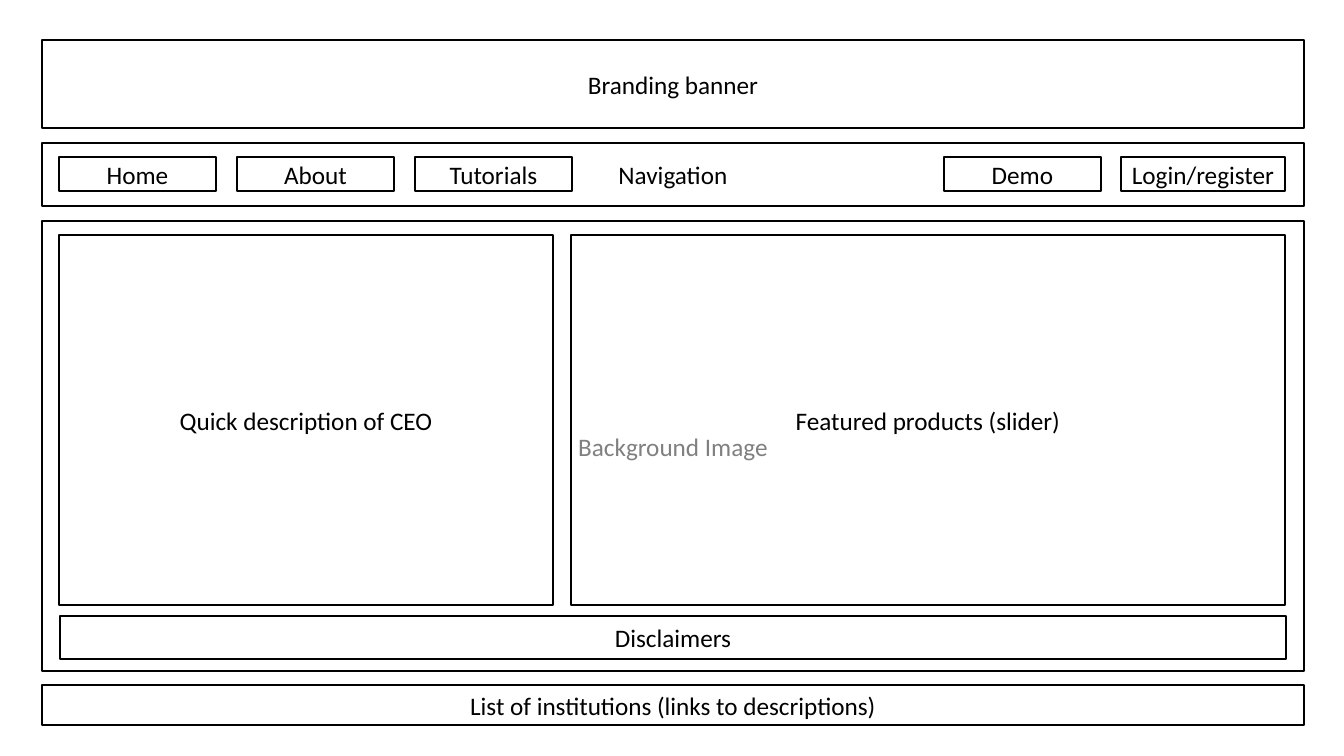
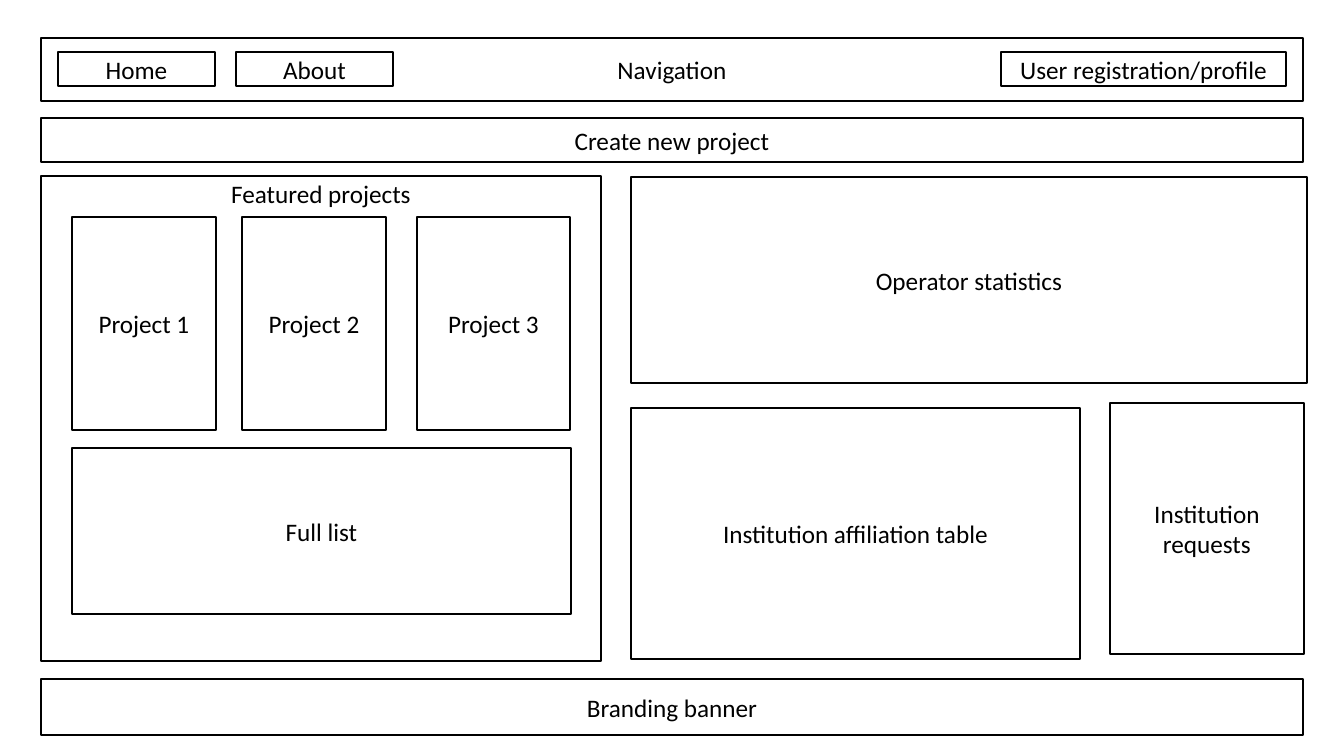
from pptx import Presentation
from pptx.dml.color import RGBColor
from pptx.enum.shapes import MSO_SHAPE
from pptx.enum.text import MSO_ANCHOR, PP_ALIGN
from pptx.util import Pt

SLIDE_WIDTH, SLIDE_HEIGHT = 12192000, 6858000
SCALE = SLIDE_WIDTH / 1344
FONT, TEXT_SIZE, LINE_WIDTH = "Calibri", 18, 1
BLACK, GREY = "000000", "808080"
BAND_WIDTH, NAV_HEIGHT = 1262, 63
BUTTON_WIDTH, BUTTON_HEIGHT, BUTTON_PITCH = 157, 34, 178
BUTTON_INSET_X, BUTTON_INSET_Y = 17, 14

# Bands: label, top, height. Buttons on the right: label, left, width.
# Panels: label, left, top, width, height.
PAGES = [
    {
        "left": 42,
        "bands": [("Branding banner", 40, 88),
                  ("List of institutions (links to descriptions)", 685, 40)],
        "nav_top": 143,
        "left_buttons": ["Home", "About", "Tutorials"],
        "right_buttons": [("Demo", 944, 157), ("Login/register", 1121, 164)],
        "backdrop": ("Background Image", 221, 450),
        "panels": [("Quick description of CEO", 59, 235, 494, 370),
                   ("Featured products (slider)", 571, 235, 714, 370),
                   ("Disclaimers", 60, 616, 1226, 43)],
    },
    {
        "left": 41,
        "bands": [("Create new project", 118, 44),
                  ("Branding banner", 679, 56)],
        "nav_top": 38,
        "left_buttons": ["Home", "About"],
        "right_buttons": [("User registration/profile", 1001, 285)],
        "group": ("Featured projects", 41, 176, 560, 485),
        "panels": [("Project 1", 72, 217, 144, 213),
                   ("Project 2", 242, 217, 144, 213),
                   ("Project 3", 417, 217, 153, 213),
                   ("Full list", 72, 448, 499, 166),
                   ("Operator statistics", 631, 177, 676, 206),
                   ("Institution affiliation table", 631, 408, 449, 251),
                   ("Institution requests", 1110, 403, 194, 251)],
    },
]


def px(pixels):
    """Turn pixels into EMU."""
    return round(pixels * SCALE)


def rgb(color):
    """Turn a hex string into a colour."""
    return RGBColor.from_string(color)


def add_box(slide, label, left, top, width, height, color=BLACK,
            anchor=MSO_ANCHOR.MIDDLE):
    """Draw an outlined, unfilled box with a centred label."""
    box = slide.shapes.add_shape(MSO_SHAPE.RECTANGLE, px(left), px(top),
                                 px(width), px(height))
    box.shadow.inherit = False
    box.fill.background()
    box.line.color.rgb = rgb(BLACK)
    box.line.width = Pt(LINE_WIDTH)
    frame = box.text_frame
    frame.text = label
    frame.word_wrap = True
    frame.vertical_anchor = anchor
    if anchor == MSO_ANCHOR.TOP:
        frame.margin_top = px(2)
    paragraph = frame.paragraphs[0]
    paragraph.alignment = PP_ALIGN.CENTER
    font = paragraph.runs[0].font
    font.name, font.size = FONT, Pt(TEXT_SIZE)
    font.color.rgb = rgb(color)


def add_navigation(slide, page):
    """Draw the navigation band and its buttons."""
    left, top = page["left"], page["nav_top"]
    add_box(slide, "Navigation", left, top, BAND_WIDTH, NAV_HEIGHT)
    buttons = [(label, left + BUTTON_INSET_X + i * BUTTON_PITCH, BUTTON_WIDTH)
               for i, label in enumerate(page["left_buttons"])]
    for label, button_left, width in buttons + page["right_buttons"]:
        add_box(slide, label, button_left, top + BUTTON_INSET_Y,
                width, BUTTON_HEIGHT)


def add_page(deck, page):
    """Build one wireframe slide."""
    slide = deck.slides.add_slide(deck.slide_layouts[6])
    for label, top, height in page["bands"]:
        add_box(slide, label, page["left"], top, BAND_WIDTH, height)
    add_navigation(slide, page)
    if "backdrop" in page:
        label, top, height = page["backdrop"]
        add_box(slide, label, page["left"], top, BAND_WIDTH, height, GREY)
    if "group" in page:
        add_box(slide, *page["group"], anchor=MSO_ANCHOR.TOP)
    for panel in page["panels"]:
        add_box(slide, *panel)


deck = Presentation()
deck.slide_width, deck.slide_height = SLIDE_WIDTH, SLIDE_HEIGHT
for page in PAGES:
    add_page(deck, page)
deck.save("out.pptx")
